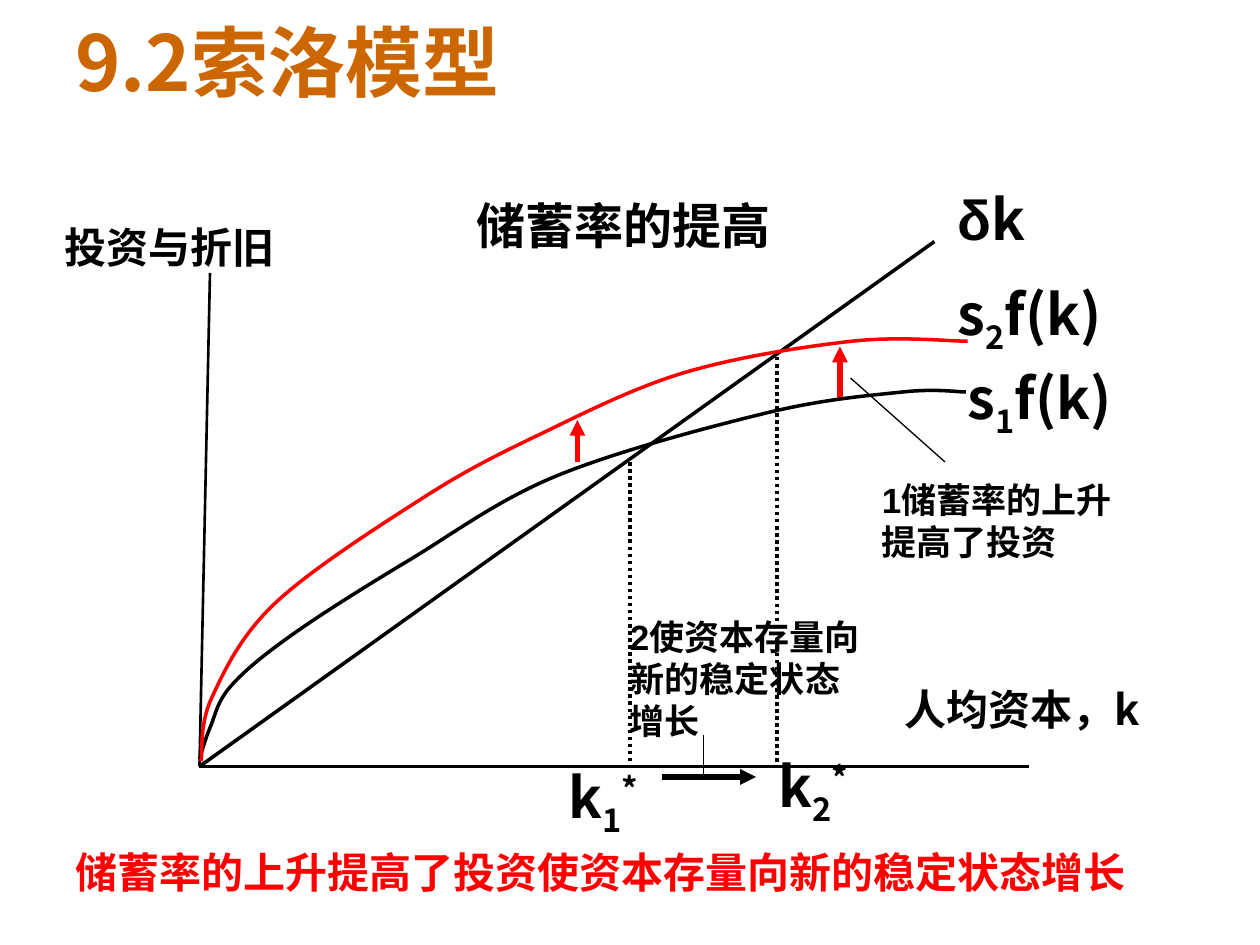
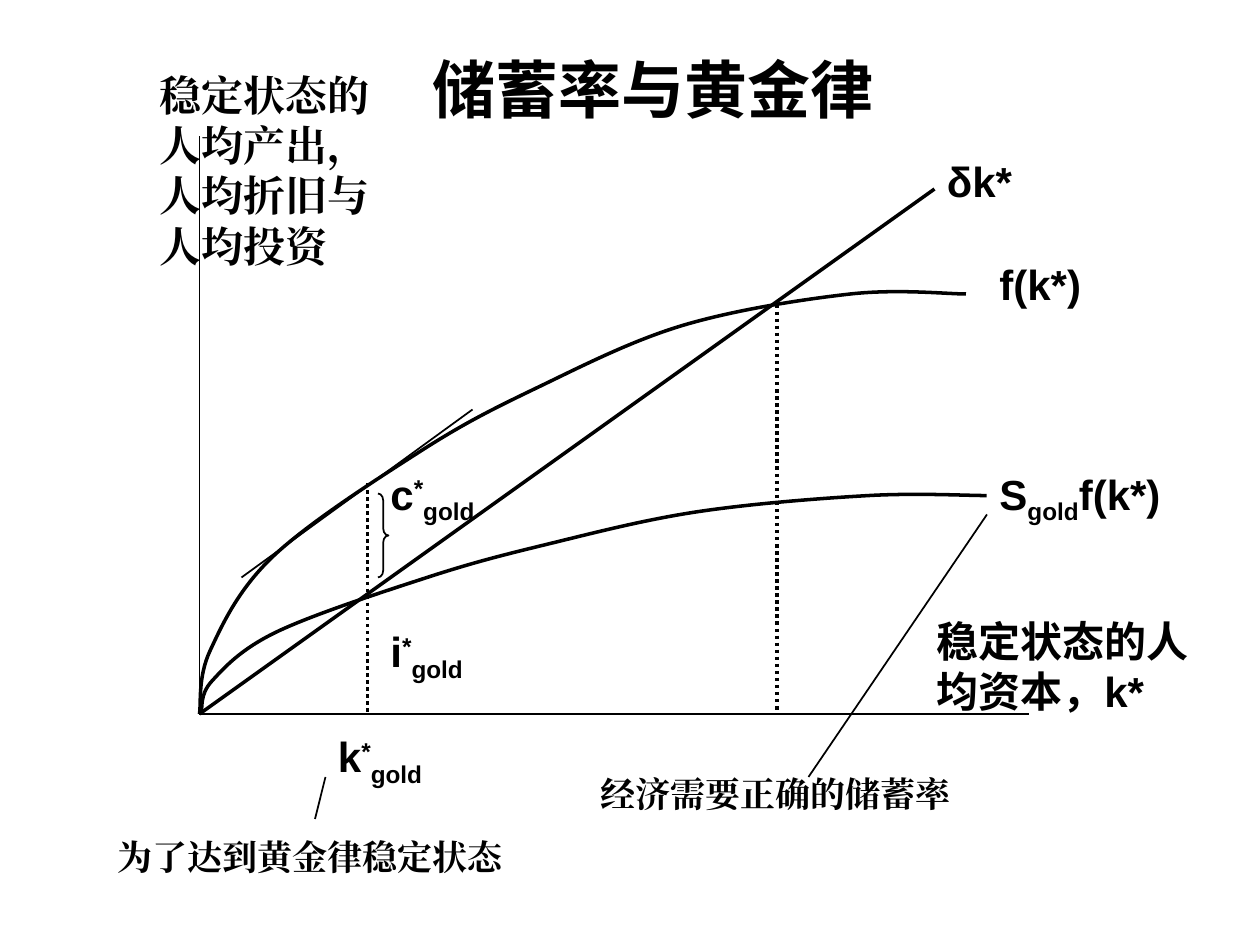
"""Build two slides of growth model charts on a grid of 120 columns by 90 rows."""
from lxml.etree import SubElement as Sub
from pptx import Presentation as Deck
from pptx.dml.color import RGBColor as Rgb
from pptx.enum.dml import MSO_LINE as Dash
from pptx.enum.shapes import MSO_CONNECTOR as Conn, MSO_SHAPE as Form
from pptx.enum.text import MSO_ANCHOR as Anchor
from pptx.oxml.ns import qn
from pptx.util import Inches, Pt

BLACK = Rgb(0, 0, 0)
RED = Rgb(255, 0, 0)
ORANGE = Rgb(0xCC, 0x66, 0)
NOTO, ARIAL, TIMES = "Noto Sans CJK SC", "Arial", "Times New Roman"
SHIFT = {"_": "-25000", "^": "30000"}

deck = Deck()
deck.slide_width, deck.slide_height = Inches(10), Inches(7.5)
UNIT = deck.slide_width // 120


def grid(*cells):
    return [round(cell * UNIT) for cell in cells]


def label(slide, box, size, face, color, *paras):
    frame = slide.shapes.add_textbox(*grid(*box)).text_frame
    frame.word_wrap = True
    for num, runs in enumerate(paras):
        para = frame.add_paragraph() if num else frame.paragraphs[0]
        for text in runs:
            run = para.add_run()
            run.text = text.lstrip("_^")
            font = run.font
            font.size, font.bold, font.color.rgb = Pt(size), True, color
            font.name = ARIAL if text == "δ" else face
            Sub(run._r.rPr, qn("a:ea")).set("typeface", font.name)
            if text[0] in SHIFT:
                run._r.rPr.set("baseline", SHIFT[text[0]])
    return frame


HIGH = [(0, 0), (1, 6), (7, 15), (21, 25), (32, 31), (46, 37), (62, 40), (73, 40)]
LOW = [(0, 0), (1, 3), (3, 7), (9, 12), (20, 19), (34, 27), (54, 33), (67, 35), (73, 35)]
DOT, HEAD = "dot", "head"

model = (
    [
        (19, 73, 98, 73, 2.25, BLACK, ""),
        (19, 73, 89, 23, 2, BLACK, ""),
        (74, 34, 74, 73, 2, BLACK, DOT),
        (60, 44, 60, 73, 2, BLACK, DOT),
        (63, 74, 72, 74, 3, BLACK, HEAD),
        (55, 44, 55, 40, 3, RED, HEAD),
        (80, 38, 80, 33, 3, RED, HEAD),
        (19, 73, 20, 26, 1.5, BLACK, ""),
        (81, 36, 90, 44, 0.75, BLACK, ""),
        (67, 74, 67, 70, 0.75, BLACK, ""),
    ],
    [(LOW, 19, 72.33, 1, 1, BLACK), (HIGH, 19.15, 72.5, 1, 1, RED)],
    [
        ((90, 17, 9, 7.7), 32, NOTO, BLACK, ["δ", "k"]),
        ((5, 20.5, 25, 6), 24, NOTO, BLACK, ["投资与折旧"]),
        ((85, 64.5, 31, 6), 24, NOTO, BLACK, ["人均资本，k"]),
        ((90, 26, 25, 8.5), 32, NOTO, BLACK, ["s", "_2", "f(k)"]),
        ((91, 34, 25, 8.5), 32, NOTO, BLACK, ["s", "_1", "f(k)"]),
        ((73, 71, 11, 8.5), 32, NOTO, BLACK, ["k", "_2", "^*"]),
        ((53, 72, 11, 8.5), 32, NOTO, BLACK, ["k", "_1", "^*"]),
        ((6, 80, 104, 6), 24, NOTO, RED, ["储蓄率的上升提高了投资", "使资本存量向新的稳定状态增长"]),
        ((82.8, 45, 26, 9), 20, ARIAL, BLACK, ["1储蓄率的上升"], ["提高了投资"]),
        ((58.8, 58, 26, 13), 20, ARIAL, BLACK, ["2使资本存量向"], ["新的稳定状态"], ["增长"]),
        ((44.25, 18, 31, 7), 28, ARIAL, BLACK, ["储蓄率的提高"]),
    ],
)
golden = (
    [
        (19, 68, 19, 13, 1, BLACK, ""),
        (19, 68, 98, 68, 1, BLACK, ""),
        (19, 68, 89, 18, 2, BLACK, ""),
        (74, 29, 74, 68, 2, BLACK, DOT),
        (35, 46, 35, 68, 2, BLACK, DOT),
        (23, 55, 45, 39, 1, BLACK, ""),
        (77, 74, 94, 49, 1, BLACK, ""),
        (30, 78, 31, 74, 1, BLACK, ""),
    ],
    [(HIGH, 19, 68, 1, 1, BLACK), (HIGH, 19.15, 68, 1.025, 0.52, BLACK)],
    [
        ((89, 14.2, 13, 6), 24, ARIAL, BLACK, ["δk*"]),
        ((14, 6, 25, 20.4), 24, TIMES, BLACK, ["稳定状态的人均产出，人均折旧与人均投资"]),
        ((94, 24, 14, 6), 24, ARIAL, BLACK, ["f(k*)"]),
        ((31, 69, 15, 6.7), 24, ARIAL, BLACK, ["k", "^*", "_gold"]),
        ((10, 79, 42, 5.3), 20, TIMES, BLACK, ["为了达到黄金律稳定状态"]),
        ((56, 73, 42, 5.3), 20, TIMES, BLACK, ["经济需要正确的储蓄率"]),
        ((88, 58, 29, 10.8), 24, ARIAL, BLACK, ["稳定状态的人均资本，k*"]),
        ((36, 44, 15, 6.7), 24, ARIAL, BLACK, ["c", "^*", "_gold"]),
        ((94, 44, 22, 6.7), 24, ARIAL, BLACK, ["S", "_gold", "f(k*)"]),
        ((36, 59, 15, 6.7), 24, ARIAL, BLACK, ["i", "^*", "_gold"]),
        ((40, 4.2, 49.3, 8.4), 36, ARIAL, BLACK, ["储蓄率与黄金律"]),
    ],
)

for lines, curves, labels in (model, golden):
    slide = deck.slides.add_slide(deck.slide_layouts[6])

    for x1, y1, x2, y2, width, color, style in lines:
        line = slide.shapes.add_connector(Conn.STRAIGHT, *grid(x1, y1, x2, y2))
        line.line.width, line.line.color.rgb = Pt(width), color
        if style == DOT:
            line.line.dash_style = Dash.ROUND_DOT
        if style == HEAD:
            Sub(line.line._get_or_add_ln(), qn("a:tailEnd")).set("type", "triangle")
        Sub(line._element.spPr, qn("a:effectLst"))

    for knots, left, base, wide, tall, color in curves:
        spots = [(left + x * wide, base - y * tall) for x, y in knots]
        ends = [spots[0]] + spots + [spots[-1]]
        steps = [((c[0] - a[0]) / 6, (c[1] - a[1]) / 6) for a, c in zip(ends, ends[2:])]
        bends = []
        for (x1, y1), (x2, y2), (u1, v1), (u2, v2) in zip(spots, spots[1:], steps, steps[1:]):
            bends += [grid(x1 + u1, y1 + v1), grid(x2 - u2, y2 - v2), grid(x2, y2)]
        pen = slide.shapes.build_freeform(*grid(*spots[0]))
        pen.add_line_segments(bends, close=False)
        curve = pen.convert_to_shape()
        curve.shadow.inherit = False
        curve.fill.background()
        curve.line.width, curve.line.color.rgb = Pt(2), color
        trace = curve._element.find(".//" + qn("a:path"))
        parts = trace.findall(qn("a:lnTo"))
        for at in range(0, len(parts), 3):
            cubic = Sub(trace, qn("a:cubicBezTo"))
            for part in parts[at:at + 3]:
                cubic.append(part[0])
                trace.remove(part)

    for item in labels:
        label(slide, *item)

first, last = deck.slides
title = label(first, (6, 0.5, 108, 10.5), 44, NOTO, ORANGE, ["9.2索洛模型"])
title.vertical_anchor = Anchor.MIDDLE

brace = last.shapes.add_shape(Form.RIGHT_BRACE, *grid(36, 47, 1, 8))
brace.adjustments[0] = 0.67
brace.shadow.inherit = False
brace.fill.background()
brace.line.width, brace.line.color.rgb = Pt(1), BLACK

deck.save("out.pptx")
